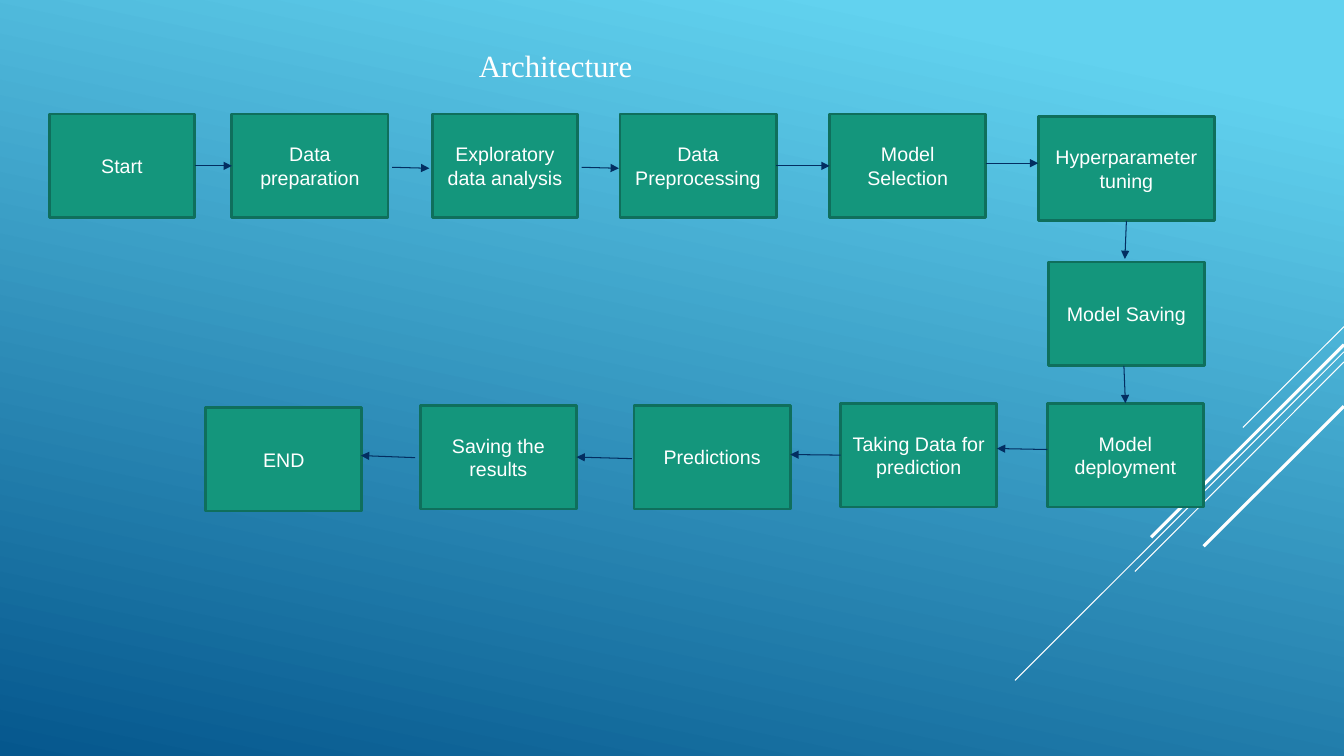
from pptx import Presentation
from pptx.dml.color import RGBColor
from pptx.enum.shapes import MSO_CONNECTOR, MSO_SHAPE
from pptx.enum.text import MSO_ANCHOR, MSO_AUTO_SIZE, PP_ALIGN
from pptx.oxml.ns import qn
from pptx.util import Pt
from lxml.etree import SubElement

TOP, LEFT, BOTTOM, RIGHT = range(4)
BOX_HEIGHT = 74.2

# text, left, top, width; in order of flow
STEPS = [
    ("Start", 35.3, 81.4, 103.7),
    ("Data preparation", 165.6, 81.4, 111.6),
    ("Exploratory data analysis", 308.9, 81.4, 103.7),
    ("Data Preprocessing", 442.8, 81.4, 111.6),
    ("Model Selection", 592.6, 81.4, 111.6),
    ("Hyperparameter tuning", 741.6, 83.5, 126),
    ("Model Saving", 748.8, 187.2, 111.6),
    ("Model deployment", 748.1, 288, 111.6),
    ("Taking Data for prediction", 600.5, 288, 111.6),
    ("Predictions", 452.9, 289.4, 111.6),
    ("Saving the results", 300.2, 289.4, 111.6),
    ("END", 146.9, 290.9, 111.6),
]

# start, end, joined side of this step, joined side of the next step
ARROWS = [
    ((139, 118.1), (165.6, 119.5), RIGHT, LEFT),
    ((280.1, 119.5), (306.7, 120.2), None, None),
    ((415.4, 119.5), (442.1, 120.2), None, None),
    ((554.4, 118.1), (592.6, 118.1), RIGHT, LEFT),
    ((704.2, 116.6), (741.6, 116.6), None, None),
    ((804.6, 157.7), (803.5, 185), BOTTOM, None),
    ((802.8, 261.4), (804.2, 288), None, TOP),
    ((748.1, 321.1), (712.1, 320.4), None, None),
    ((600.5, 326.2), (564.5, 324.7), LEFT, None),
    ((451.4, 327.6), (412.6, 326.2), None, RIGHT),
    ((296.6, 326.9), (257.8, 325.4), None, None),
]

# start height at the right edge, end point, line width
DIAGONALS = [
    (233.3, (887.8, 305.3), 0.75),
    (251.3, (725, 486), 0.75),
    (258.5, (810.7, 408.2), 0.75),
    (246.2, (822.2, 383.8), 2.25),
    (290.2, (859.7, 390.2), 2.25),
]


def color(value):
    return RGBColor.from_string(value)


class FlowPage:
    white = "FFFFFF"
    box_fill = "14967C"
    box_line = "0F6F5C"
    arrow_line = "032E61"

    def __init__(self, page):
        self.page = page

    def background(self, light, dark, angle):
        fill = self.page.background.fill
        fill.gradient()
        fill.gradient_angle = angle
        for stop, position, value in zip(fill.gradient_stops, (0.1, 1), (light, dark)):
            stop.position = position
            stop.color.rgb = color(value)

    def set_text(self, shape, text, size, font, alignment):
        frame = shape.text_frame
        frame.text = text
        frame.word_wrap = True
        frame.auto_size = MSO_AUTO_SIZE.NONE
        frame.vertical_anchor = MSO_ANCHOR.MIDDLE
        para = frame.paragraphs[0]
        para.alignment = alignment
        span = para.runs[0]
        span.font.size = Pt(size)
        span.font.name = font
        span.font.color.rgb = color(self.white)

    def title(self, text, left, top, width, height):
        title = self.page.shapes.title
        title.left, title.top = Pt(left), Pt(top)
        title.width, title.height = Pt(width), Pt(height)
        self.set_text(title, text, 22, "Times New Roman", PP_ALIGN.LEFT)

    def box(self, text, left, top, width):
        box = self.page.shapes.add_shape(
            MSO_SHAPE.RECTANGLE, Pt(left), Pt(top), Pt(width), Pt(BOX_HEIGHT))
        box.shadow.inherit = False
        box.fill.solid()
        box.fill.fore_color.rgb = color(self.box_fill)
        box.line.color.rgb = color(self.box_line)
        box.line.width = Pt(2)
        self.set_text(box, text, 14, "Arial", PP_ALIGN.CENTER)
        return box

    def line(self, start, end, value, width):
        line = self.page.shapes.add_connector(
            MSO_CONNECTOR.STRAIGHT, *(Pt(length) for length in (*start, *end)))
        line.line.color.rgb = color(value)
        line.line.width = Pt(width)
        SubElement(line._element.spPr, qn("a:effectLst"))
        return line

    def arrow(self, start, end, source, source_side, target, target_side):
        """Draw an arrow, joined to a box wherever a side is given."""
        arrow = self.line(start, end, self.arrow_line, 0.75)
        outline = arrow._element.spPr.find(qn("a:ln"))
        SubElement(outline, qn("a:tailEnd"), type="triangle")
        if source_side is not None:
            arrow.begin_connect(source, source_side)
        if target_side is not None:
            arrow.end_connect(target, target_side)


def main():
    deck = Presentation()
    deck.slide_width, deck.slide_height = Pt(960), Pt(540)
    flow = FlowPage(deck.slides.add_slide(deck.slide_layouts[5]))
    flow.background("62D2EF", "05578D", 258)
    for height, end, width in DIAGONALS:
        flow.line((960, height), end, flow.white, width)
    flow.title("Architecture", 334.8, 28.4, 336, 36)

    boxes = [flow.box(*step) for step in STEPS]
    for source, target, (start, end, source_side, target_side) in zip(boxes, boxes[1:], ARROWS):
        flow.arrow(start, end, source, source_side, target, target_side)
    deck.save("out.pptx")


if __name__ == "__main__":
    main()
